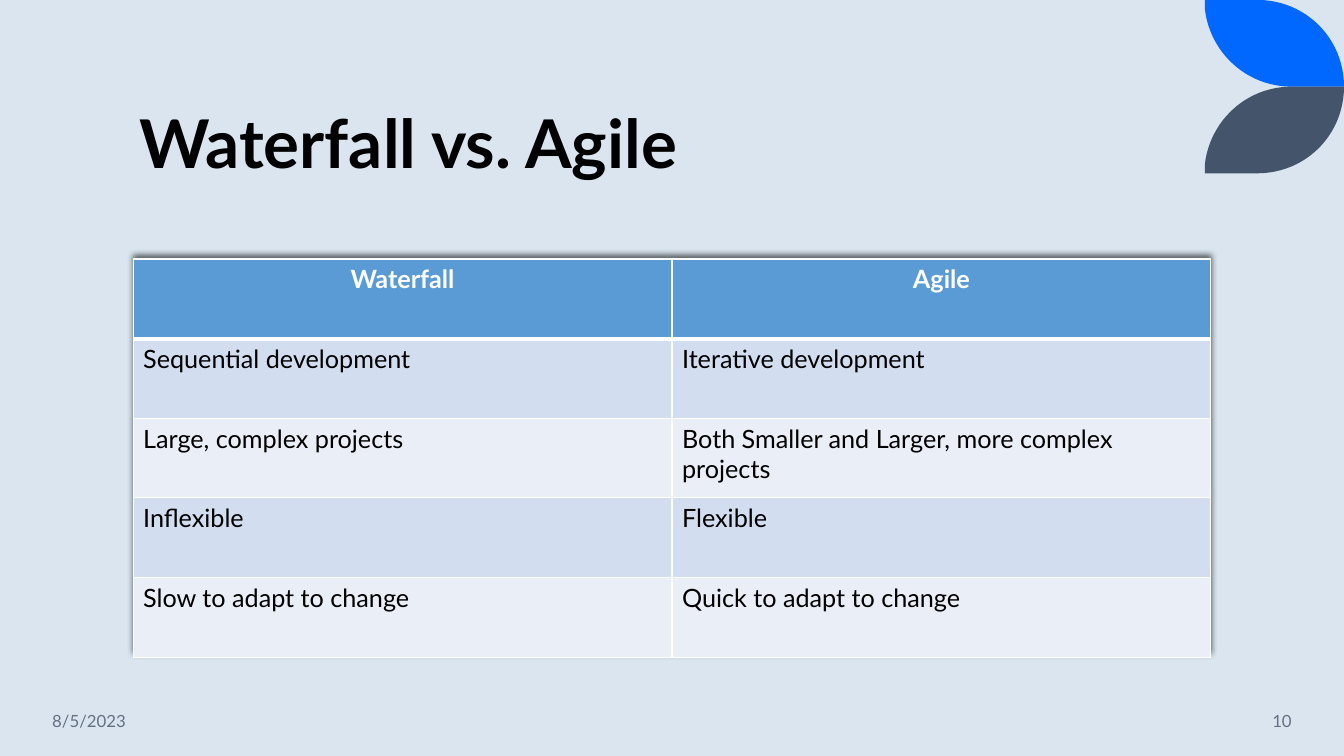
import pptx
import pptx.dml.color
import pptx.enum.text
import pptx.oxml
import pptx.oxml.ns
import pptx.util

Inches = pptx.util.Inches
Pt = pptx.util.Pt
ALIGN = pptx.enum.text.PP_ALIGN
ANCHOR = pptx.enum.text.MSO_ANCHOR

FONT = "Lato"
COLORS = {
    "background": "DAE5EF", "blue": "0068FF", "slate": "44546A",
    "black": "000000", "white": "FFFFFF", "footer": "637183",
    "header": "5B9BD5", "band_dark": "D2DEEF", "band_light": "EAEFF7",
}
ROWS = [
    ("Waterfall", "Agile"),
    ("Sequential development", "Iterative development"),
    ("Large, complex projects", "Both Smaller and Larger, more complex projects"),
    ("Inflexible", "Flexible"),
    ("Slow to adapt to change", "Quick to adapt to change"),
]


def color(name):
    return pptx.dml.color.RGBColor.from_string(COLORS[name])


def write(frame, text, size, color_name, bold=False, align=ALIGN.LEFT):
    frame.text = text
    para = frame.paragraphs[0]
    para.alignment = align
    font = para.runs[0].font
    font.name, font.size, font.bold = FONT, Pt(size), bold
    font.color.rgb = color(color_name)


def bezier(points, steps=24):
    """Points along a cubic curve, without its start."""
    result = []
    for step in range(1, steps + 1):
        t = step / steps
        weights = ((1 - t) ** 3, 3 * t * (1 - t) ** 2, 3 * t * t * (1 - t), t ** 3)
        result.append(tuple(sum(w * p[axis] for w, p in zip(weights, points))
                            for axis in (0, 1)))
    return result


# Corner leaf, flipped top to bottom on request
def add_leaf(page, box, color_name, flipped=False):
    left, top, width, height = box
    outline = [(0, 0), (0.52, 0)]
    outline += bezier([(0.52, 0), (1, 0), (width, 0.38), (width, height)])
    outline.append((0.86, height))
    outline += bezier([(0.86, height), (0.41, height), (0.05, 0.52), (0, 0.09)])
    points = [(Inches(left + x), Inches(top + (height - y if flipped else y)))
              for x, y in outline]
    builder = page.shapes.build_freeform(*points[0])
    builder.add_line_segments(points[1:], close=True)
    leaf = builder.convert_to_shape()
    leaf.shadow.inherit = False
    leaf.fill.solid()
    leaf.fill.fore_color.rgb = color(color_name)
    leaf.line.fill.background()


def add_title(page, box, text):
    title = page.shapes.title
    title.left, title.top, title.width, title.height = map(Inches, box)
    frame = title.text_frame
    write(frame, text, 48, "black", bold=True)
    frame.vertical_anchor = ANCHOR.BOTTOM
    frame.auto_size = pptx.enum.text.MSO_AUTO_SIZE.NONE
    frame.paragraphs[0].line_spacing = 0.9


def add_footer(page, box, text, align):
    frame = page.shapes.add_textbox(*map(Inches, box)).text_frame
    frame.word_wrap = True
    frame.vertical_anchor = ANCHOR.MIDDLE
    write(frame, text, 12, "footer", align=align)


def add_border(cell, side, points):
    cell._tc.get_or_add_tcPr().append(pptx.oxml.parse_xml(
        f'<a:ln{side} {pptx.oxml.ns.nsdecls("a")} w="{Pt(points)}"><a:solidFill>'
        f'<a:srgbClr val="{COLORS["white"]}"/></a:solidFill></a:ln{side}>'))


def add_table_shadow(table):
    table._tbl.tblPr.insert(0, pptx.oxml.parse_xml(
        f'<a:effectLst {pptx.oxml.ns.nsdecls("a")}>'
        '<a:outerShdw blurRad="50800" dist="38100" dir="16200000" rotWithShape="0">'
        f'<a:srgbClr val="{COLORS["black"]}"><a:alpha val="60000"/></a:srgbClr>'
        '</a:outerShdw></a:effectLst>'))


def add_comparison(page, box, rows):
    table = page.shapes.add_table(len(rows), len(rows[0]), *map(Inches, box)).table
    add_table_shadow(table)
    for row_index, texts in enumerate(rows):
        is_header = row_index == 0
        band = "band_dark" if row_index % 2 else "band_light"
        widths = {"L": 1, "R": 1, "T": 3 if row_index == 1 else 1,
                  "B": 3 if is_header else 1}
        for column_index, text in enumerate(texts):
            cell = table.cell(row_index, column_index)
            for side, points in widths.items():
                add_border(cell, side, points)
            cell.fill.solid()
            cell.fill.fore_color.rgb = color("header" if is_header else band)
            write(cell.text_frame, text, 18, "white" if is_header else "black",
                  is_header, ALIGN.CENTER if is_header else ALIGN.LEFT)


def build_comparison_slide(deck):
    page = deck.slides.add_slide(deck.slide_layouts[5])
    page.background.fill.solid()
    page.background.fill.fore_color.rgb = color("background")
    # Decoration
    add_leaf(page, (11.95, 0, 1.38, 0.86), "blue")
    add_leaf(page, (11.95, 0.86, 1.38, 0.86), "slate", flipped=True)
    # Title and table
    add_title(page, (1.28, 0.42, 10.69, 1.45), "Waterfall vs. Agile")
    add_comparison(page, (1.32, 2.57, 10.69, 3.95), ROWS)
    # Date and page number
    add_footer(page, (0.42, 6.95, 1.86, 0.4), "8/5/2023", ALIGN.LEFT)
    add_footer(page, (11.1, 6.95, 1.81, 0.4), "10", ALIGN.RIGHT)


def main():
    deck = pptx.Presentation()
    deck.slide_width, deck.slide_height = Inches(13.33), Inches(7.5)
    build_comparison_slide(deck)
    deck.save("out.pptx")


if __name__ == "__main__":
    main()
